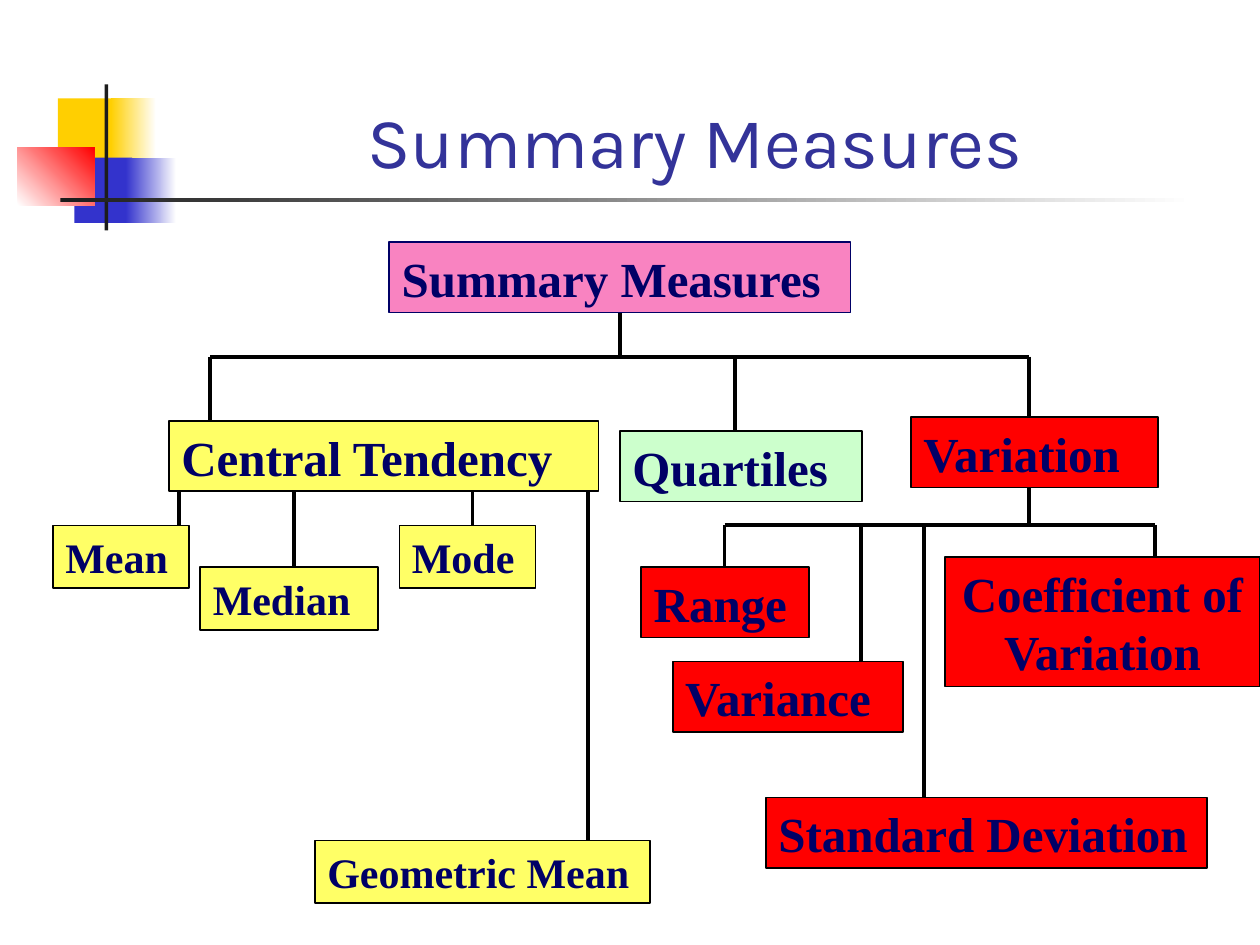
from lxml import etree
from pptx import Presentation
from pptx.dml.color import RGBColor
from pptx.enum.shapes import MSO_CONNECTOR, MSO_SHAPE
from pptx.enum.text import MSO_ANCHOR, MSO_AUTO_SIZE, PP_ALIGN
from pptx.oxml.ns import qn
from pptx.util import Inches, Pt

RECTANGLE = MSO_SHAPE.RECTANGLE
STRAIGHT = MSO_CONNECTOR.STRAIGHT
CENTER, LEFT = PP_ALIGN.CENTER, PP_ALIGN.LEFT
TOP, BOTTOM = MSO_ANCHOR.TOP, MSO_ANCHOR.BOTTOM
FIT_SHAPE, NO_FIT = MSO_AUTO_SIZE.SHAPE_TO_FIT_TEXT, MSO_AUTO_SIZE.NONE
TITLE_ONLY_LAYOUT = 5

YELLOW, GREEN, PINK, RED = "FFFF66", "CCFFCC", "F983C1", "FF0000"
GOLD, BLUE, CHARCOAL, WHITE = "FFCF01", "3333CC", "1C1C1C", "FFFFFF"
NAVY, TITLE_BLUE, BLACK = "000066", "333399", "000000"


def color(hex_string):
    return RGBColor.from_string(hex_string)


def add_rectangle(slide, left, top, width, height, fill, fill_end=None, angle=0):
    """Add a plain rectangle, shaded from fill to fill_end when that is given."""
    shape = slide.shapes.add_shape(
        RECTANGLE, Inches(left), Inches(top), Inches(width), Inches(height))
    shape.shadow.inherit = False
    shape.line.fill.background()
    if fill_end:
        shape.fill.gradient()
        shape.fill.gradient_angle = angle
        for stop, stop_color in zip(shape.fill.gradient_stops, (fill, fill_end)):
            stop.color.rgb = color(stop_color)
    else:
        shape.fill.solid()
        shape.fill.fore_color.rgb = color(fill)
    return shape


def add_line(slide, x1, y1, x2, y2):
    line = slide.shapes.add_connector(
        STRAIGHT, Inches(x1), Inches(y1), Inches(x2), Inches(y2))
    line.line.color.rgb = color(BLACK)
    line.line.width = Pt(2.25)
    etree.SubElement(line._element.spPr, qn("a:effectLst"))


def add_ornament(slide, left, top):
    """Overlapping squares crossed by a vertical bar and a fading rule."""
    add_rectangle(slide, left + 0.32, top + 0.11, 0.48, 0.52, GOLD)
    add_rectangle(slide, left + 0.74, top + 0.11, 0.36, 0.52, GOLD, WHITE)
    add_rectangle(slide, left + 0.45, top + 0.58, 0.46, 0.52, BLUE)
    add_rectangle(slide, left + 0.86, top + 0.58, 0.4, 0.52, BLUE, WHITE)
    add_rectangle(slide, left, top + 0.5, 0.61, 0.46, WHITE, RED, angle=45)
    add_rectangle(slide, left + 0.69, top, 0.03, 1.16, CHARCOAL)
    add_rectangle(slide, left + 0.34, top + 0.9, 9, 0.03, CHARCOAL, WHITE)


def set_title(slide, text, left, top, width, height):
    title = slide.shapes.title
    title.left, title.top = Inches(left), Inches(top)
    title.width, title.height = Inches(width), Inches(height)
    frame = title.text_frame
    frame.text = text
    frame.auto_size = NO_FIT
    frame.vertical_anchor = BOTTOM
    paragraph = frame.paragraphs[0]
    paragraph.alignment = CENTER
    paragraph.line_spacing = 1.1
    paragraph.font.name = "Karla"
    paragraph.font.size = Pt(41)
    paragraph.font.color.rgb = color(TITLE_BLUE)


def add_branch(slide, trunk_x, trunk_top, bar_y, drops):
    """Draw a trunk down to a bar, with a drop from the bar to each (x, bottom)."""
    positions = [x for x, _ in drops]
    add_line(slide, trunk_x, trunk_top, trunk_x, bar_y)
    add_line(slide, min(positions), bar_y, max(positions), bar_y)
    add_drops(slide, bar_y, drops)


def add_drops(slide, top, drops):
    for x, bottom in drops:
        add_line(slide, x, top, x, bottom)


def add_node(slide, text, left, top, width, fill, size=28, height=0.56,
             outline=BLACK, alignment=LEFT):
    node = add_rectangle(slide, left, top, width, height, fill)
    node.line.color.rgb = color(outline)
    node.line.width = Pt(1)
    frame = node.text_frame
    frame.text = text
    frame.word_wrap = True
    frame.auto_size = FIT_SHAPE
    frame.vertical_anchor = TOP
    paragraph = frame.paragraphs[0]
    paragraph.alignment = alignment
    paragraph.font.name = "Times New Roman"
    paragraph.font.size = Pt(size)
    paragraph.font.bold = True
    paragraph.font.color.rgb = color(NAVY)


def add_overview(slide, left, top):
    add_branch(slide, left + 3.58, top + 0.5, top + 0.91,
               [(left + 0.33, top + 1.5), (left + 4.49, top + 1.55),
                (left + 6.83, top + 1.43)])
    add_node(slide, "Summary Measures", left + 1.75, top, 3.66, PINK, outline=NAVY)
    add_node(slide, "Quartiles", left + 3.58, top + 1.5, 1.92, GREEN)


def add_central_tendency(slide, left, top):
    leaves = [  # text, left, top, width, drop position
        ("Mean", 0, 0.83, 1.08, 1),
        ("Median", 1.17, 1.16, 1.41, 1.91),
        ("Mode", 2.75, 0.83, 1.08, 3.33),
        ("Geometric Mean", 2.08, 3.33, 2.66, 4.25),
    ]
    add_drops(slide, top + 0.56,
              [(left + drop, top + y + 0.05) for _, _, y, _, drop in leaves])
    add_node(slide, "Central Tendency", left + 0.92, top, 3.41, YELLOW)
    for text, x, y, width, _ in leaves:
        add_node(slide, text, left + x, top + y, width, YELLOW, size=24, height=0.5)


def add_variation(slide, left, top):
    leaves = [  # text, left, top, width, height, drop position, alignment
        ("Range", 0, 1.19, 1.33, 0.56, 0.66, LEFT),
        ("Variance", 0.25, 1.94, 1.83, 0.56, 1.74, LEFT),
        ("Standard Deviation", 0.99, 3.02, 3.5, 0.56, 2.24, LEFT),
        ("Coefficient of Variation", 2.41, 1.11, 2.5, 1.03, 4.08, CENTER),
    ]
    add_branch(slide, left + 3.08, top + 0.52, top + 0.86,
               [(left + drop, top + y + 0.03) for _, _, y, _, _, drop, _ in leaves])
    add_node(slide, "Variation", left + 2.14, top, 1.96, RED)
    for text, x, y, width, height, _, alignment in leaves:
        add_node(slide, text, left + x, top + y, width, RED,
                 height=height, alignment=alignment)


def main():
    presentation = Presentation()
    presentation.slide_width = Inches(10)
    presentation.slide_height = Inches(7.5)
    slide = presentation.slides.add_slide(
        presentation.slide_layouts[TITLE_ONLY_LAYOUT])
    add_ornament(slide, 0.14, 0.67)
    set_title(slide, "Summary Measures", 1.26, 0.25, 8.52, 1.25)
    add_overview(slide, 1.34, 1.92)
    add_central_tendency(slide, 0.42, 3.34)
    add_variation(slide, 5.09, 3.31)
    presentation.save("out.pptx")


if __name__ == "__main__":
    main()
